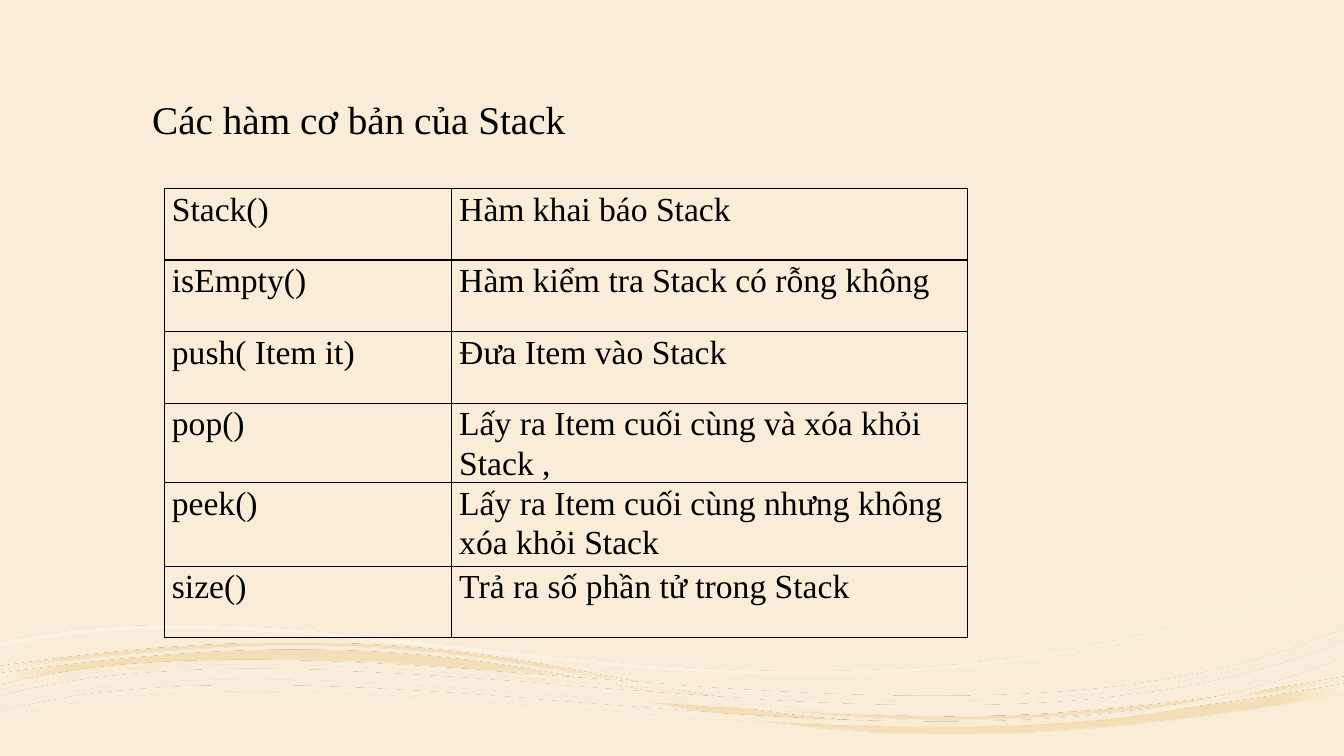
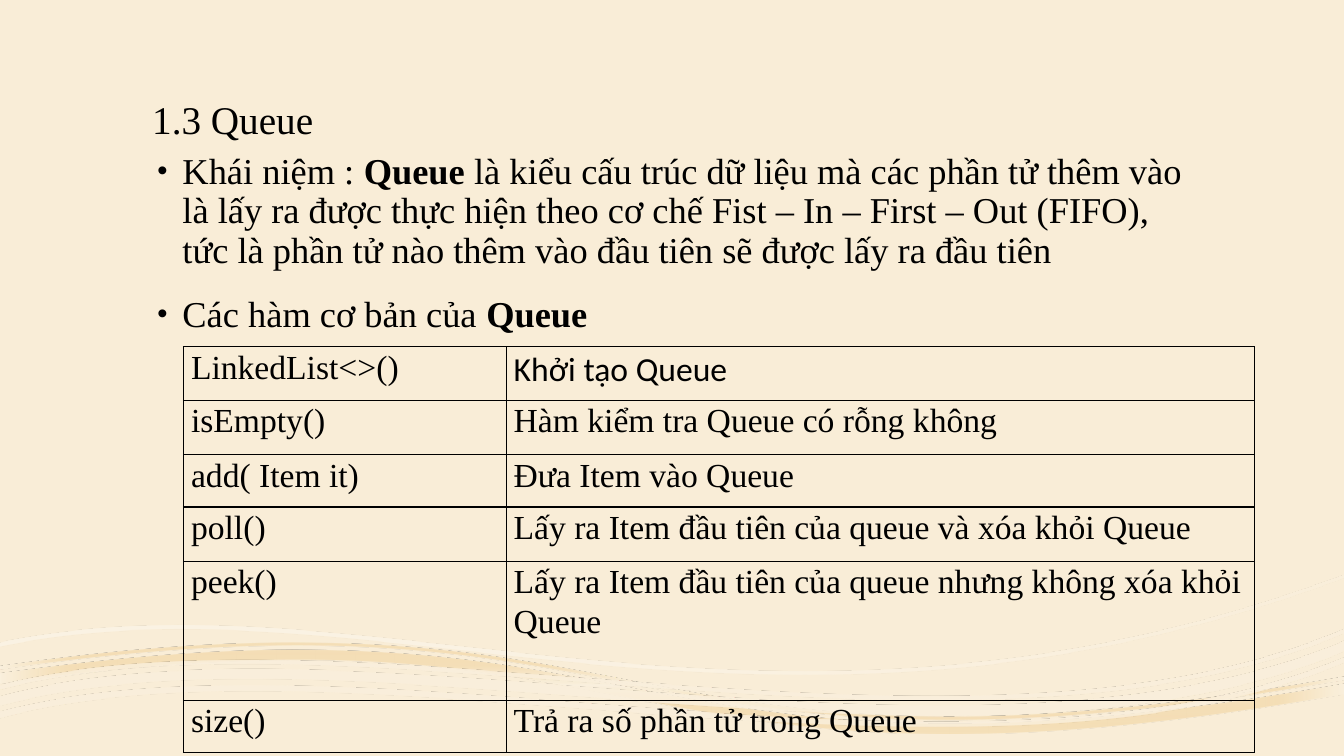
from dataclasses import dataclass
from math import cos, radians, sin

from pptx import Presentation
from pptx.dml.color import RGBColor
from pptx.enum.text import MSO_ANCHOR, MSO_AUTO_SIZE, PP_ALIGN
from pptx.oxml import parse_xml
from pptx.oxml.ns import nsdecls, qn
from pptx.util import Emu, Pt

PX = 9144
TILT = -3.5
SERIF = "Times New Roman"
SANS = "Calibri"
COLORS = {
    "page": "F9EDD7",
    "ink": "000000",
    "white": "FFFFFF",
    "cream": "FAF1DF",
    "sand": "F4DEB7",
    "deep sand": "F4DDB3",
    "pale": "FAEFDC",
}

Edge = tuple[tuple[int, int], ...]
Ribbon = tuple[Edge, Edge]
Box = tuple[int, int, int, int]
TITLE_BOX: Box = (141, 33, 1050, 114)
BODY_BOX: Box = (141, 147, 1050, 486)


@dataclass(frozen=True)
class Stop:
    position: int
    color: str
    opacity: int = 100


@dataclass(frozen=True)
class Wave:
    box: Box
    ribbons: tuple[Ribbon, ...]
    stops: tuple[Stop, ...]
    direction: str


@dataclass(frozen=True)
class Span:
    text: str
    bold: bool = False


@dataclass(frozen=True)
class Row:
    call: str
    meaning: str
    height: int
    meaning_font: str = SERIF


@dataclass(frozen=True)
class Grid:
    left: int
    top: int
    columns: tuple[int, int]
    rows: tuple[Row, ...]


@dataclass(frozen=True)
class Topic:
    title: str
    bullets: tuple[tuple[Span, ...], ...]
    grid: Grid


def radial(kind: str, left: int, top: int, right: int, bottom: int) -> str:
    return (
        f'<a:path path="{kind}"><a:fillToRect l="{left}000" t="{top}000" '
        f'r="{right}000" b="{bottom}000"/></a:path>'
    )


WAVES = (
    Wave(
        (1, 612, 1331, 135),
        (
            (((0, 668), (124, 651), (222, 644), (306, 645), (670, 647), (738, 782), (1333, 678)),
             ((0, 678), (667, 583), (602, 816), (1333, 688))),
            (((0, 661), (124, 643), (222, 637), (306, 638), (670, 640), (738, 775), (1333, 671)),
             ((0, 664), (667, 569), (602, 802), (1333, 674))),
        ),
        (Stop(0, "cream", 90), Stop(18, "sand"), Stop(37, "deep sand", 90), Stop(100, "cream")),
        radial("shape", 50, 50, 50, 50),
    ),
    Wave(
        (3, 588, 1335, 171),
        (
            (((0, 637), (373, 559), (754, 784), (1333, 570)),
             ((0, 641), (373, 563), (754, 788), (1333, 573))),
        ),
        (Stop(36, "white", 30), Stop(100, "page", 48)),
        '<a:lin ang="2700000" scaled="1"/>',
    ),
    Wave(
        (-1, 625, 1336, 115),
        (
            (((0, 706), (349, 612), (955, 810), (1333, 652)),
             ((0, 712), (349, 618), (955, 815), (1333, 657))),
            (((0, 691), (349, 596), (955, 794), (1333, 636)),
             ((0, 700), (349, 606), (955, 804), (1333, 646))),
            (((0, 680), (351, 589), (958, 786), (1333, 624)),
             ((0, 684), (351, 593), (958, 790), (1333, 628))),
        ),
        (Stop(36, "white", 47), Stop(100, "pale", 82)),
        radial("rect", 100, 100, 0, 0),
    ),
)

TOPICS = (
    Topic(
        "Các hàm cơ bản của Stack",
        (),
        Grid(163, 187, (285, 512), (
            Row("Stack()", "Hàm khai báo Stack", 71),
            Row("isEmpty()", "Hàm kiểm tra Stack có rỗng không", 71),
            Row("push( Item it)", "Đưa Item vào Stack", 71),
            Row("pop()", "Lấy ra Item cuối cùng và xóa khỏi Stack ,", 71),
            Row("peek()", "Lấy ra Item cuối cùng nhưng không xóa khỏi Stack", 83),
            Row("size()", "Trả ra số phần tử trong Stack", 71),
        )),
    ),
    Topic(
        "1.3 Queue",
        (
            (
                Span("Khái niệm : "),
                Span("Queue ", bold=True),
                Span(
                    "là kiểu cấu trúc dữ liệu mà các phần tử thêm vào là lấy ra được "
                    "thực hiện theo cơ chế Fist – In – First – Out (FIFO), tức là phần "
                    "tử nào thêm vào đầu tiên sẽ được lấy ra đầu tiên"
                ),
            ),
            (Span("Các hàm cơ bản của "), Span("Queue", bold=True)),
        ),
        Grid(182, 344, (320, 742), (
            Row("LinkedList<>()", "Khởi tạo Queue", 53, SANS),
            Row("isEmpty()", "Hàm kiểm tra Queue có rỗng không", 54),
            Row("add( Item it)", "Đưa Item vào Queue", 52),
            Row("poll()", "Lấy ra Item đầu tiên của queue và xóa khỏi Queue", 54),
            Row("peek()", "Lấy ra Item đầu tiên của queue nhưng không xóa khỏi Queue", 138),
            Row("size()", "Trả ra số phần tử trong Queue", 52),
        )),
    ),
)


def px(length: float) -> Emu:
    return Emu(round(length * PX))


def rgb(name: str) -> RGBColor:
    return RGBColor.from_string(COLORS[name])


def style_span(span, size: int, font: str = SERIF, bold: bool = False) -> None:
    span.font.name = font
    span.font.size = Pt(size)
    span.font.bold = bold
    span.font.color.rgb = rgb("ink")


def place(shape, box: Box) -> None:
    shape.left, shape.top, shape.width, shape.height = map(px, box)


def untilted(box: Box, edge: Edge) -> list[str]:
    left, top, width, height = box
    turn = radians(-TILT)
    points = []
    for x, y in edge:
        across, down = x - left - width / 2, y - top - height / 2
        local_x = width / 2 + across * cos(turn) - down * sin(turn)
        local_y = height / 2 + across * sin(turn) + down * cos(turn)
        points.append(f'<a:pt x="{px(local_x)}" y="{px(local_y)}"/>')
    return points


def curves(points: list[str]) -> str:
    return "".join(
        f'<a:cubicBezTo>{"".join(points[first:first + 3])}</a:cubicBezTo>'
        for first in range(1, len(points), 3)
    )


def wave_outline(wave: Wave):
    outline = ""
    for upper, lower in wave.ribbons:
        out, back = untilted(wave.box, upper), untilted(wave.box, lower[::-1])
        outline += (
            f"<a:moveTo>{out[0]}</a:moveTo>{curves(out)}"
            f"<a:lnTo>{back[0]}</a:lnTo>{curves(back)}<a:close/>"
        )
    width, height = map(px, wave.box[2:])
    return parse_xml(
        f'<a:pathLst {nsdecls("a")}><a:path w="{width}" h="{height}">{outline}</a:path></a:pathLst>'
    )


def gradient(wave: Wave):
    stops = "".join(
        f'<a:gs pos="{stop.position}000"><a:srgbClr val="{COLORS[stop.color]}">'
        f'<a:alpha val="{stop.opacity}000"/></a:srgbClr></a:gs>'
        for stop in wave.stops
    )
    return parse_xml(
        f'<a:gradFill {nsdecls("a")} rotWithShape="1"><a:gsLst>{stops}</a:gsLst>'
        f"{wave.direction}</a:gradFill>"
    )


def draw_wave(page, wave: Wave):
    builder = page.shapes.build_freeform(0, 0)
    builder.add_line_segments([(px(wave.box[2]), px(wave.box[3]))])
    shape = builder.convert_to_shape()
    place(shape, wave.box)
    shape.rotation = TILT
    shape.line.fill.background()
    shape.shadow.inherit = False
    geometry = shape.element.spPr.find(qn("a:custGeom"))
    geometry.replace(geometry.find(qn("a:pathLst")), wave_outline(wave))
    geometry.addnext(gradient(wave))
    return shape


def decorate_master(deck, page) -> None:
    master = deck.slide_master
    master.background.fill.solid()
    master.background.fill.fore_color.rgb = rgb("page")
    shapes = [draw_wave(page, wave) for wave in WAVES]
    for order, shape in enumerate(shapes):
        shape.element.nvSpPr.cNvPr.set("id", str(100 + order))
        master.shapes.element.insert(2 + order, shape.element)


def write_title(page, text: str) -> None:
    title = page.shapes.title
    place(title, TITLE_BOX)
    frame = title.text_frame
    frame.text = text
    frame.vertical_anchor = MSO_ANCHOR.BOTTOM
    frame.auto_size = MSO_AUTO_SIZE.NONE
    para = frame.paragraphs[0]
    para.alignment = PP_ALIGN.LEFT
    para.line_spacing = 0.9
    style_span(para.runs[0], 28)


def write_bullets(page, bullets: tuple[tuple[Span, ...], ...]) -> None:
    body = page.placeholders[1]
    place(body, BODY_BOX)
    frame = body.text_frame
    frame.auto_size = MSO_AUTO_SIZE.NONE
    for order, spans in enumerate(bullets):
        para = frame.add_paragraph() if order else frame.paragraphs[0]
        para.line_spacing = 0.9
        para.space_before = Pt(18)
        properties = para._p.get_or_add_pPr()
        properties.set("marL", str(px(30)))
        properties.set("indent", str(px(-25)))
        for bullet in ('buSzPct val="80000"', 'buFont typeface="Arial"', 'buChar char="•"'):
            properties.append(parse_xml(f'<a:{bullet} {nsdecls("a")}/>'))
        for part in spans:
            span = para.add_run()
            span.text = part.text
            style_span(span, 26, bold=part.bold)


def write_cell(cell, text: str, font: str) -> None:
    cell.margin_left = cell.margin_right = Pt(5.4)
    cell.margin_top = cell.margin_bottom = 0
    cell.fill.background()
    properties = cell._tc.get_or_add_tcPr()
    for order, side in enumerate("LRTB"):
        properties.insert(order, parse_xml(
            f'<a:ln{side} {nsdecls("a")} w="{Pt(1)}"><a:solidFill>'
            f'<a:srgbClr val="{COLORS["ink"]}"/></a:solidFill></a:ln{side}>'
        ))
    cell.text_frame.text = text
    para = cell.text_frame.paragraphs[0]
    para.line_spacing = 1.07
    style_span(para.runs[0], 24, font)


def draw_grid(page, grid: Grid) -> None:
    box = (grid.left, grid.top, sum(grid.columns), sum(row.height for row in grid.rows))
    table = page.shapes.add_table(len(grid.rows), 2, *map(px, box)).table
    table.first_row = table.horz_banding = False
    for column, width in zip(table.columns, grid.columns):
        column.width = px(width)
    for order, row in enumerate(grid.rows):
        table.rows[order].height = px(row.height)
        write_cell(table.cell(order, 0), row.call, SERIF)
        write_cell(table.cell(order, 1), row.meaning, row.meaning_font)


def main() -> None:
    deck = Presentation()
    deck.slide_width, deck.slide_height = px(1333), px(750)
    for order, topic in enumerate(TOPICS):
        page = deck.slides.add_slide(deck.slide_layouts[1 if topic.bullets else 5])
        if order == 0:
            decorate_master(deck, page)
        write_title(page, topic.title)
        if topic.bullets:
            write_bullets(page, topic.bullets)
        draw_grid(page, topic.grid)
    deck.save("out.pptx")


if __name__ == "__main__":
    main()
